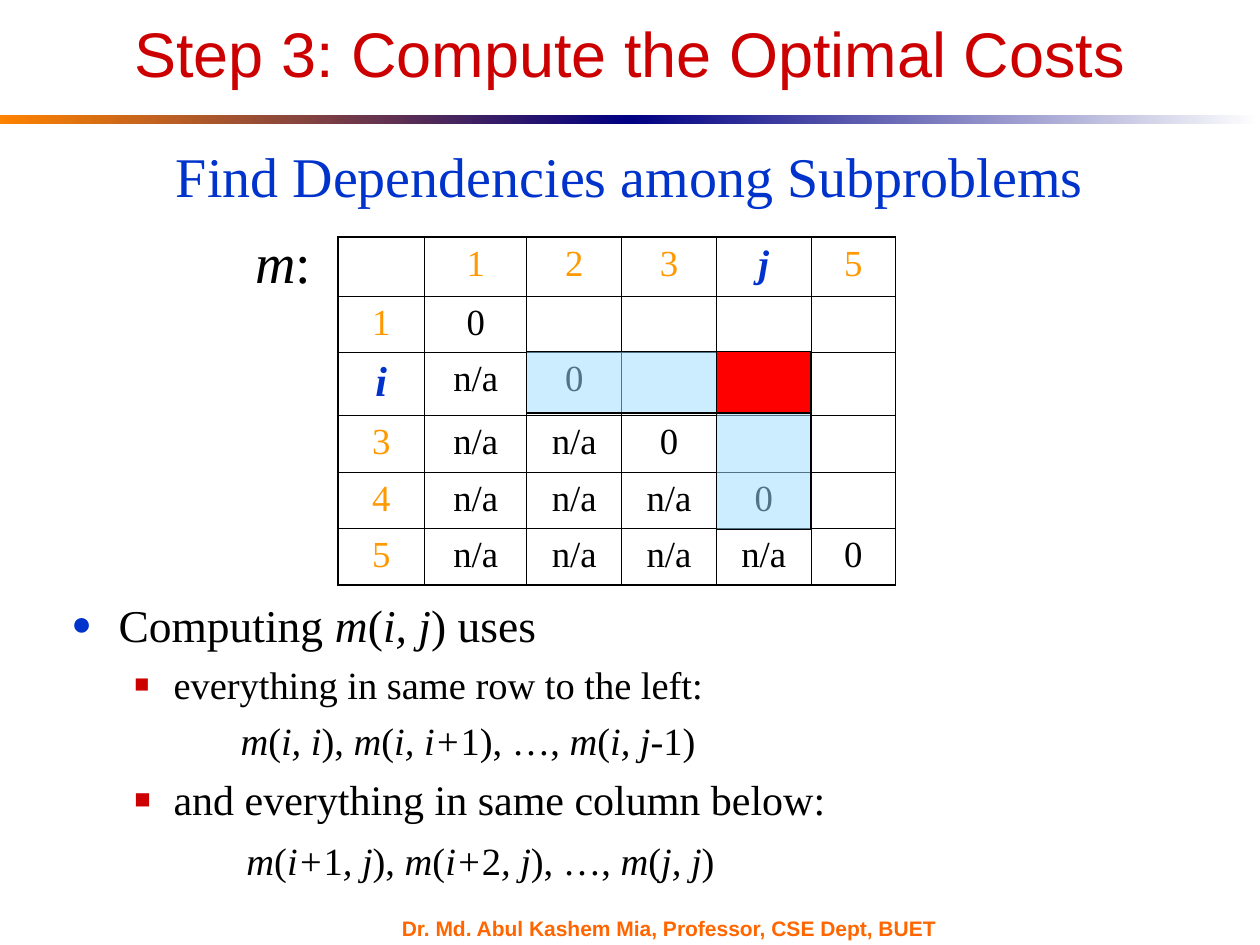
from lxml import etree
from pptx import Presentation
from pptx.dml.color import RGBColor
from pptx.enum import shapes, text
from pptx.oxml import ns
from pptx.util import Cm, Pt

BLACK = RGBColor(0, 0, 0)
WHITE = RGBColor(0xFF, 0xFF, 0xFF)
RED = RGBColor(0xFF, 0, 0)
CRIMSON = RGBColor(0xCC, 0, 0)
BLUE = RGBColor(0, 0x33, 0xCC)
NAVY = RGBColor(0, 0, 0x82)
AMBER = RGBColor(0xFF, 0x82, 0)
INDEX_ORANGE = RGBColor(0xFF, 0x99, 0)
FOOTER_ORANGE = RGBColor(0xFF, 0x66, 0)
SKY = RGBColor(0x9E, 0xDB, 0xFF)

SERIF, SANS = "Times New Roman", "Arial"
LEFT, CENTER, RIGHT = text.PP_ALIGN.LEFT, text.PP_ALIGN.CENTER, text.PP_ALIGN.RIGHT
TOP, MIDDLE, BOTTOM = text.MSO_ANCHOR.TOP, text.MSO_ANCHOR.MIDDLE, text.MSO_ANCHOR.BOTTOM

# Asterisks enclose italic words.
# box, words, font, size, colour, bold, alignment, anchor, wrap
LABELS = [
    ((7.85, 18.49, 11.86, 0.46), "Dr. Md. Abul Kashem Mia, Professor, CSE Dept, BUET",
     SANS, 12, FOOTER_ORANGE, True, LEFT, MIDDLE, True),
    ((4.9, 4.47, 1.63, 1.63), "*m*:", SERIF, 32, BLACK, False, LEFT, TOP, False),
    ((1.27, 0.64, 22.86, 1.3), "Step 3: Compute the Optimal Costs",
     SANS, 36, CRIMSON, False, CENTER, BOTTOM, True),
    ((3.28, 2.72, 18.82, 1.6), "Find Dependencies among Subproblems",
     SERIF, 32, BLUE, False, RIGHT, TOP, False),
]

COSTS = [
    ["", "1", "2", "3", "j", "5"],
    ["1", "0", "", "", "", ""],
    ["i", "n/a", "0", "", "", ""],
    ["3", "n/a", "n/a", "0", "", ""],
    ["4", "n/a", "n/a", "n/a", "0", ""],
    ["5", "n/a", "n/a", "n/a", "n/a", "0"],
]
COLUMN_WIDTHS = [1.75, 2.06, 1.91, 1.91, 1.91, 1.7]
ROW_HEIGHTS = [1.19, 1.14, 1.27, 1.14, 1.14, 1.14]
TABLE_LEFT, TABLE_TOP = 6.81, 4.78
VARIABLE_SIZES = {"i": 24, "j": 22}
THIN, THICK = 0.45, 1.08

# first column, column count, top, height, colour, opacity in percent
HIGHLIGHTS = [
    (4, 1, 7.09, 1.24, RED, 100),
    (2, 2, 7.09, 1.24, SKY, 52),
    (4, 1, 8.33, 2.34, SKY, 52),
]

DOT = ("●", BLUE, 75)
SQUARE = ("■", CRIMSON, 65)
# words, size, space before, level, left margin, hanging indent, bullet
POINTS = [
    ("Computing *m*(*i, j*) uses", 26, 6.5, 0, 0.95, 0.95, DOT),
    ("everything in same row to the left:", 22, 5.5, 1, 2.06, 0.79, SQUARE),
    ("*m*(*i, i*), *m*(*i, i+*1), …, *m*(*i, j-*1)", 22, 5.5, 1, 3.41, 0, None),
    ("and everything in same column below:", 24, 6, 1, 2.06, 0.79, SQUARE),
    ("*m*(*i+*1*, j*), *m*(*i+*2*, j*), …, *m*(*j, j*)", 22, 7.3, 1, 3.53, 0, None),
]


def add_runs(paragraph, words, font, size, color, bold=False):
    for number, part in enumerate(words.split("*")):
        if part:
            run = paragraph.add_run()
            run.text = part
            run.font.name = font
            run.font.size = Pt(size)
            run.font.color.rgb = color
            run.font.bold = bold
            run.font.italic = number % 2 == 1


def add_frame(slide, box, anchor, wrap):
    frame = slide.shapes.add_textbox(*map(Cm, box)).text_frame
    frame.word_wrap = wrap
    frame.vertical_anchor = anchor
    return frame


def add_rectangle(slide, *box):
    rectangle = slide.shapes.add_shape(shapes.MSO_SHAPE.RECTANGLE, *map(Cm, box))
    rectangle.shadow.inherit = False
    return rectangle


def add_divider(slide):
    for left, start, end in [(0, AMBER, NAVY), (12.7, NAVY, WHITE)]:
        band = add_rectangle(slide, left, 2.31, 12.7, 0.2)
        band.line.fill.background()
        band.fill.gradient()
        band.fill.gradient_angle = 0
        for stop, color, position in zip(band.fill.gradient_stops, (start, end), (0, 1)):
            stop.color.rgb = color
            stop.position = position


def set_borders(cell, widths):
    """Draw the left, right, top and bottom borders, in that order."""
    properties = cell._tc.get_or_add_tcPr()
    for place, (side, width) in enumerate(zip("LRTB", widths)):
        border = etree.Element(ns.qn(f"a:ln{side}"), w=str(Pt(width)))
        fill = etree.SubElement(border, ns.qn("a:solidFill"))
        etree.SubElement(fill, ns.qn("a:srgbClr"), val=str(BLACK))
        properties.insert(place, border)


def add_cost_table(slide):
    count = len(COSTS)
    table = slide.shapes.add_table(
        count, count, Cm(TABLE_LEFT), Cm(TABLE_TOP),
        Cm(sum(COLUMN_WIDTHS)), Cm(sum(ROW_HEIGHTS))).table
    table.first_row = table.horz_banding = False
    for column, width in zip(table.columns, COLUMN_WIDTHS):
        column.width = Cm(width)
    for row, height in zip(table.rows, ROW_HEIGHTS):
        row.height = Cm(height)
    last = count - 1
    for r, costs in enumerate(COSTS):
        for c, cost in enumerate(costs):
            cell = table.cell(r, c)
            cell.fill.background()
            edges = (c == 0, c == last, r == 0, r == last)
            set_borders(cell, [THICK if edge else THIN for edge in edges])
            variable = cost in VARIABLE_SIZES
            size = VARIABLE_SIZES.get(cost, 21)
            header = INDEX_ORANGE if r == 0 or c == 0 else BLACK
            paragraph = cell.text_frame.paragraphs[0]
            paragraph.alignment = CENTER
            paragraph.space_before = Pt(size / 4)
            add_runs(paragraph, f"*{cost}*" if variable else cost, SERIF, size,
                     BLUE if variable else header, variable)


def add_highlights(slide):
    for first, span, top, height, color, opacity in HIGHLIGHTS:
        left = TABLE_LEFT + sum(COLUMN_WIDTHS[:first])
        width = sum(COLUMN_WIDTHS[first:first + span])
        area = add_rectangle(slide, left, top, width, height)
        area.fill.solid()
        area.fill.fore_color.rgb = color
        area.line.color.rgb = BLACK
        area.line.width = Pt(0.75)
        if opacity < 100:
            shade = area._element.spPr.find(ns.qn("a:solidFill"))[0]
            etree.SubElement(shade, ns.qn("a:alpha"), val=str(opacity * 1000))


def set_bullet(properties, bullet):
    if bullet is None:
        etree.SubElement(properties, ns.qn("a:buNone"))
        return
    symbol, color, percent = bullet
    tint = etree.SubElement(properties, ns.qn("a:buClr"))
    etree.SubElement(tint, ns.qn("a:srgbClr"), val=str(color))
    etree.SubElement(properties, ns.qn("a:buSzPct"), val=str(percent * 1000))
    etree.SubElement(properties, ns.qn("a:buFont"), typeface=SERIF)
    etree.SubElement(properties, ns.qn("a:buChar"), char=symbol)


def add_points(slide):
    frame = add_frame(slide, (1.19, 11.91, 18.77, 6.27), TOP, True)
    for number, (words, size, before, level, margin, hanging, bullet) in enumerate(POINTS):
        paragraph = frame.add_paragraph() if number else frame.paragraphs[0]
        paragraph.level = level
        paragraph.space_before = Pt(before)
        properties = paragraph._p.get_or_add_pPr()
        properties.set("marL", str(Cm(margin)))
        properties.set("indent", str(-Cm(hanging)))
        set_bullet(properties, bullet)
        add_runs(paragraph, words, SERIF, size, BLACK)


def main():
    deck = Presentation()
    deck.slide_width, deck.slide_height = Cm(25.4), Cm(19.05)
    slide = deck.slides.add_slide(deck.slide_layouts[6])
    add_divider(slide)
    add_cost_table(slide)
    for box, words, font, size, color, bold, alignment, anchor, wrap in LABELS:
        paragraph = add_frame(slide, box, anchor, wrap).paragraphs[0]
        paragraph.alignment = alignment
        add_runs(paragraph, words, font, size, color, bold)
    add_points(slide)
    add_highlights(slide)
    deck.save("out.pptx")


if __name__ == "__main__":
    main()
